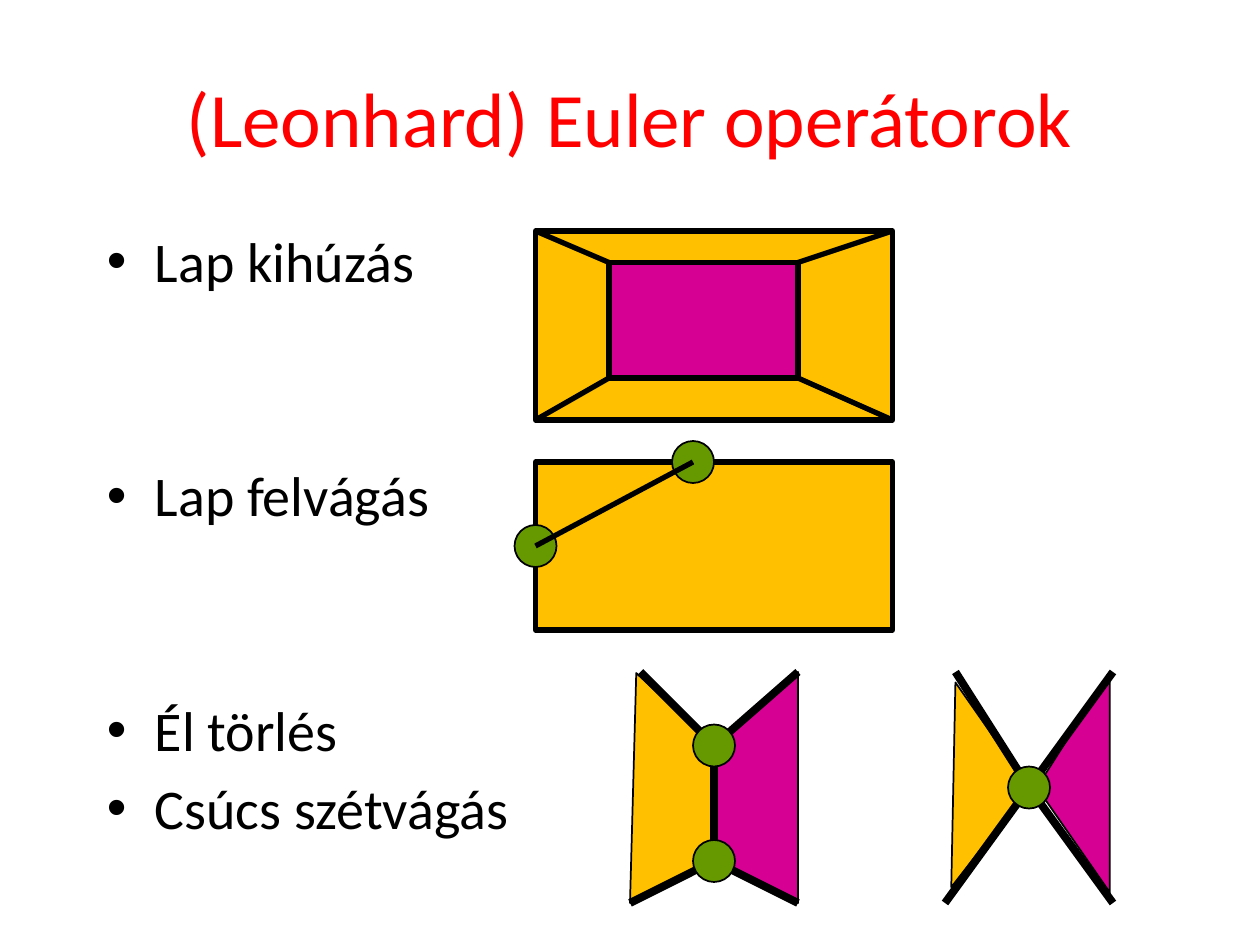
from collections import namedtuple

from lxml.etree import SubElement
from pptx import Presentation
from pptx.dml.color import RGBColor
from pptx.enum.shapes import MSO_CONNECTOR, MSO_SHAPE
from pptx.enum.text import MSO_ANCHOR, PP_ALIGN
from pptx.oxml.ns import qn
from pptx.util import Inches, Pt

BLACK = RGBColor(0x00, 0x00, 0x00)
RED = RGBColor(0xFF, 0x00, 0x00)
AMBER = RGBColor(0xFF, 0xC0, 0x00)
MAGENTA = RGBColor(0xD6, 0x00, 0x93)
GREEN = RGBColor(0x66, 0x99, 0x00)

COLUMNS, ROWS = 120, 90
CELL = Inches(10) // COLUMNS
VERTEX_RADIUS = 2
INDENT = Inches(0.38)
THIN, MEDIUM, THICK = 1, 3, 4.5

Box = namedtuple("Box", "left top width height")

TITLE_FORMAT = {"name": "Calibri", "size": Pt(44)}
BULLET_FORMAT = {"name": "Calibri", "size": Pt(32)}
OPERATORS = [
    ("Lap kihúzás", 0),
    ("Lap felvágás", 95.5),
    ("Él törlés", 95.5),
    ("Csúcs szétvágás", 6),
]


def cells(*counts):
    """Convert grid counts to lengths."""
    return [round(count * CELL) for count in counts]


def locate(box, point):
    """Turn a point inside a box into slide lengths."""
    return cells(box.left + point[0], box.top + point[1])


def format_font(font, values, colour):
    """Apply format values and a colour to a font."""
    for attribute, value in values.items():
        setattr(font, attribute, value)
    font.color.rgb = colour


def paint(shape, fill, weight):
    """Give a shape a plain fill and a black outline."""
    shape.shadow.inherit = False
    shape.fill.solid()
    shape.fill.fore_color.rgb = fill
    shape.line.color.rgb = BLACK
    shape.line.width = Pt(weight)


def add_panel(slide, box, fill):
    """Draw a rectangular face filling the box."""
    panel = slide.shapes.add_shape(MSO_SHAPE.RECTANGLE, *cells(*box))
    paint(panel, fill, MEDIUM)


def add_face(slide, box, corners, fill):
    """Draw a polygonal face through corners of the box."""
    first, *rest = [locate(box, corner) for corner in corners]
    outline = slide.shapes.build_freeform(*first)
    outline.add_line_segments(rest, close=True)
    paint(outline.convert_to_shape(), fill, THIN)


def add_vertex(slide, box, centre):
    """Draw a round vertex marker."""
    left, top = locate(box, [value - VERTEX_RADIUS for value in centre])
    diameter = 2 * VERTEX_RADIUS * CELL
    vertex = slide.shapes.add_shape(MSO_SHAPE.OVAL, left, top, diameter, diameter)
    paint(vertex, GREEN, THIN)


def add_edge(slide, box, start, end, weight):
    """Draw a straight edge between two points of the box."""
    edge = slide.shapes.add_connector(
        MSO_CONNECTOR.STRAIGHT, *locate(box, start), *locate(box, end)
    )
    edge.line.color.rgb = BLACK
    edge.line.width = Pt(weight)
    SubElement(edge._element.spPr, qn("a:effectLst"))


def add_title(slide, box, wording):
    """Write the centred title."""
    frame = slide.shapes.add_textbox(*cells(*box)).text_frame
    frame.word_wrap = True
    frame.vertical_anchor = MSO_ANCHOR.MIDDLE
    heading = frame.paragraphs[0]
    heading.text = wording
    heading.alignment = PP_ALIGN.CENTER
    format_font(heading.font, TITLE_FORMAT, RED)


def add_operator_list(slide, box, operators):
    """Write the bulleted operators, spaced to meet their figures."""
    frame = slide.shapes.add_textbox(*cells(*box)).text_frame
    frame.word_wrap = True
    for index, (operator, gap) in enumerate(operators):
        item = frame.add_paragraph() if index else frame.paragraphs[0]
        item.text = operator
        item.space_before = Pt(gap)
        properties = item._p.get_or_add_pPr()
        properties.set("marL", str(INDENT))
        properties.set("indent", str(-INDENT))
        SubElement(properties, qn("a:buFont"), typeface="Arial")
        SubElement(properties, qn("a:buChar"), char="•")
        format_font(item.font, BULLET_FORMAT, BLACK)


def draw_extrusion(slide, box):
    """Draw a face pulled out of a larger face."""
    inner = Box(7, 3, 18, 11)
    add_panel(slide, box, AMBER)
    add_panel(slide, Box(box.left + inner.left, box.top + inner.top, *inner[2:]), MAGENTA)
    for right in (0, 1):
        for bottom in (0, 1):
            near = (inner.left + right * inner.width, inner.top + bottom * inner.height)
            add_edge(slide, box, near, (right * box.width, bottom * box.height), MEDIUM)


def draw_face_split(slide, box):
    """Draw a face cut between two vertices on its border."""
    ends = [(15, 0), (0, box.height / 2)]
    add_panel(slide, box, AMBER)
    for end in ends:
        add_vertex(slide, box, end)
    add_edge(slide, box, *ends, MEDIUM)


def draw_junction(slide, box, joints, faces):
    """Draw two faces whose edges meet in one or two vertices."""
    upper, lower = joints[0], joints[-1]
    for fill, corners in faces:
        add_face(slide, box, corners, fill)
    if upper != lower:
        add_edge(slide, box, upper, lower, THICK)
    for joint, left, row in ((upper, 1, 0), (lower, 0, box.height)):
        for column in (left, box.width):
            add_edge(slide, box, (column, row), joint, THICK)
    for joint in joints:
        add_vertex(slide, box, joint)


def main():
    """Build and save the slide."""
    deck = Presentation()
    deck.slide_width, deck.slide_height = cells(COLUMNS, ROWS)
    slide = deck.slides.add_slide(deck.slide_layouts[6])

    add_title(slide, Box(6, 3.6, 108, 15), "(Leonhard) Euler operátorok")
    add_operator_list(slide, Box(9, 21, 102, 67), OPERATORS)
    draw_extrusion(slide, Box(51, 22, 34, 18))
    draw_face_split(slide, Box(51, 44, 34, 16))

    top, bottom, middle = (8, 7), (8, 18), (8, 11)
    draw_junction(slide, Box(60, 64, 16, 22), [top, bottom], [
        (MAGENTA, [(16, 0), top, bottom, (16, 22)]),
        (AMBER, [(0.6, 0.1), top, bottom, (0, 22)]),
    ])
    draw_junction(slide, Box(90, 64, 16, 22), [middle], [
        (AMBER, [middle, (1, 1), (0.6, 20.5)]),
        (MAGENTA, [(15.7, 0), (8.75, 11), (15.7, 21)]),
    ])
    deck.save("out.pptx")


if __name__ == "__main__":
    main()
